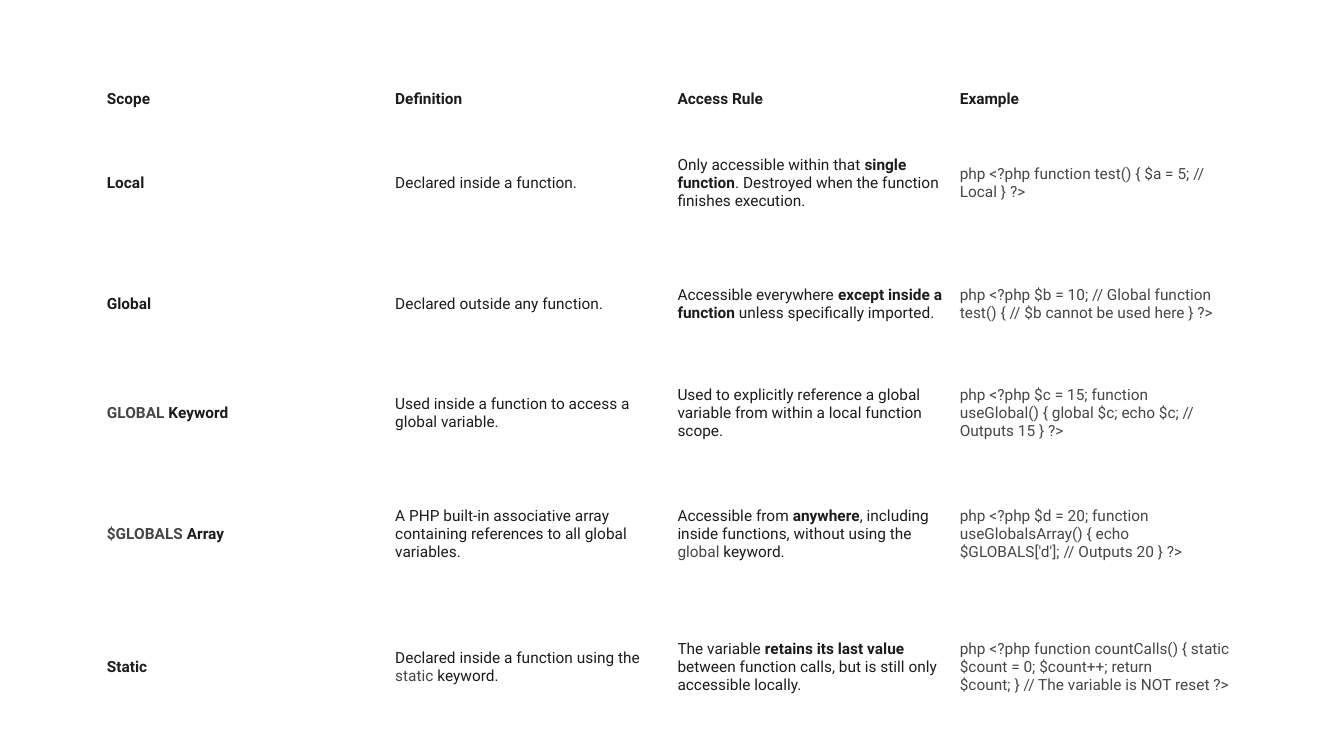
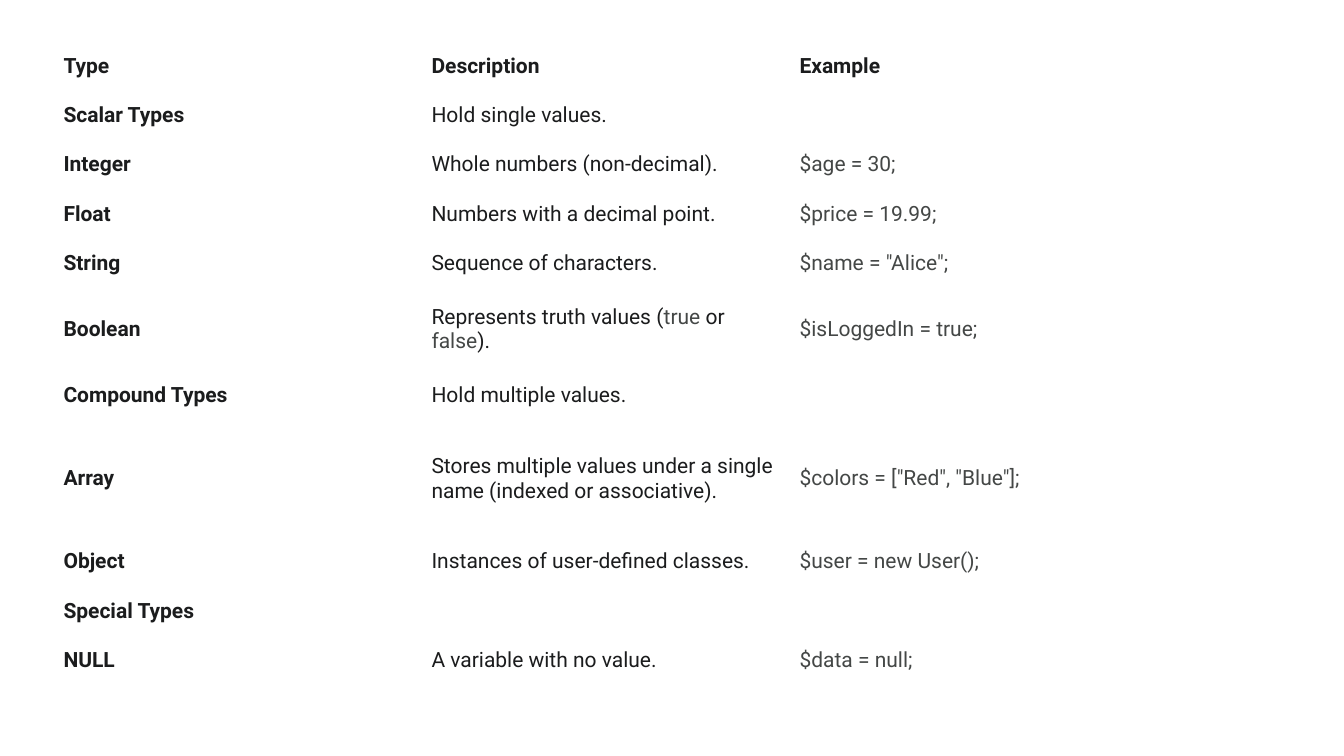
from lxml import etree
from pptx import Presentation
from pptx.dml.color import RGBColor
from pptx.enum import text
from pptx.oxml import ns
from pptx.util import Inches, Pt

INK = RGBColor(0x1B, 0x1C, 0x1D)
CODE_GREY = RGBColor(0x44, 0x47, 0x46)
WHITE = RGBColor(0xFF, 0xFF, 0xFF)
FONT = "Roboto"
BORDER_WIDTH = Pt(0.6)

SCOPE_ROWS = [
    ["Scope", "Definition", "Access Rule", "Example"],
    ["Local", "Declared inside a function.",
     ["Only accessible within that ", ("single function", "bold"),
      ". Destroyed when the function finishes execution."],
     "php <?php function test() { $a = 5; // Local } ?>"],
    ["Global", "Declared outside any function.",
     ["Accessible everywhere ", ("except inside a function", "bold"),
      " unless specifically imported."],
     "php <?php $b = 10; // Global function test() { // $b cannot be used here } ?>"],
    [[("GLOBAL", "code"), " Keyword"],
     "Used inside a function to access a global variable.",
     "Used to explicitly reference a global variable from within a local function scope.",
     "php <?php $c = 15; function useGlobal() { global $c; echo $c; // Outputs 15 } ?>"],
    [[("$GLOBALS", "code"), " Array"],
     "A PHP built-in associative array containing references to all global variables.",
     ["Accessible from ", ("anywhere", "bold"),
      ", including inside functions, without using the ", ("global", "code"), " keyword."],
     "php <?php $d = 20; function useGlobalsArray() { echo $GLOBALS['d']; // Outputs 20 } ?>"],
    ["Static",
     ["Declared inside a function using the ", ("static", "code"), " keyword."],
     ["The variable ", ("retains its last value", "bold"),
      " between function calls, but is still only accessible locally."],
     "php <?php function countCalls() { static $count = 0; $count++; return $count; }"
     " // The variable is NOT reset ?>"],
]

TYPE_ROWS = [
    ["Type", "Description", "Example"],
    ["Scalar Types", "Hold single values.", ""],
    ["Integer", "Whole numbers (non-decimal).", "$age = 30;"],
    ["Float", "Numbers with a decimal point.", "$price = 19.99;"],
    ["String", "Sequence of characters.", '$name = "Alice";'],
    ["Boolean",
     ["Represents truth values (", ("true", "code"), " or ", ("false", "code"), ")."],
     "$isLoggedIn = true;"],
    ["Compound Types", "Hold multiple values.", ""],
    ["Array", "Stores multiple values under a single name (indexed or associative).",
     '$colors = ["Red", "Blue"];'],
    ["Object", "Instances of user-defined classes.", "$user = new User();"],
    ["Special Types", "", ""],
    ["NULL", "A variable with no value.", "$data = null;"],
]


def write(paragraph, content, size, bold=False, color=INK):
    run = paragraph.add_run()
    run.text = content
    run.font.name = FONT
    run.font.size = Pt(size)
    run.font.bold = bold
    run.font.color.rgb = color


class Deck:
    def __init__(self):
        self.presentation = Presentation()
        self.presentation.slide_width = Inches(13.33)
        self.presentation.slide_height = Inches(7.5)
        self.slide = None

    def add_slide(self):
        self.slide = self.presentation.slides.add_slide(self.presentation.slide_layouts[6])
        self.slide.background.fill.solid()
        self.slide.background.fill.fore_color.rgb = WHITE

    def add_table(self, rows, left, top, widths, heights, size, insets):
        frame = self.slide.shapes.add_table(
            len(rows), len(widths), Inches(left), Inches(top),
            Inches(sum(widths)), Inches(sum(heights)))
        table = frame.table
        table.first_row = False
        table.horz_banding = False
        for column, width in zip(table.columns, widths):
            column.width = Inches(width)
        for row, height in zip(table.rows, heights):
            row.height = Inches(height)
        last_column = len(widths) - 1
        for row_index, row in enumerate(rows):
            for column_index, content in enumerate(row):
                cell = table.cell(row_index, column_index)
                self.style_cell(cell, insets)
                is_header = row_index == 0
                self.fill_cell(cell, content, size,
                               bold=is_header or column_index == 0,
                               code=column_index == last_column and not is_header)

    def style_cell(self, cell, insets):
        horizontal, vertical = map(Inches, insets)
        cell.margin_left = cell.margin_right = horizontal
        cell.margin_top = cell.margin_bottom = vertical
        cell.vertical_anchor = text.MSO_ANCHOR.MIDDLE
        properties = cell._tc.get_or_add_tcPr()
        for side in ("a:lnL", "a:lnR", "a:lnT", "a:lnB"):
            line = etree.SubElement(properties, ns.qn(side), w=str(BORDER_WIDTH))
            fill = etree.SubElement(line, ns.qn("a:solidFill"))
            etree.SubElement(fill, ns.qn("a:srgbClr"), val=str(WHITE))
        cell.fill.background()

    def fill_cell(self, cell, content, size, bold, code):
        paragraph = cell.text_frame.paragraphs[0]
        paragraph.font.size = Pt(size)
        for part in [content] if isinstance(content, str) else content:
            words, style = (part, "") if isinstance(part, str) else part
            if words:
                write(paragraph, words, size, bold=bold or style == "bold",
                      color=CODE_GREY if code or style == "code" else INK)


def main():
    deck = Deck()
    deck.add_slide()
    deck.add_table(SCOPE_ROWS, 1, 0.8, [2.86] + [2.8] * 3,
                   [0.36, 1.32, 1.08, 1.08, 1.32, 1.32], size=11, insets=(0.06, 0.04))
    deck.add_slide()
    deck.add_table(TYPE_ROWS, 0.55, 0.41, [3.65] * 3,
                   [0.49] * 5 + [0.82, 0.49, 1.16] + [0.49] * 3, size=15, insets=(0.08, 0.06))
    deck.presentation.save("out.pptx")


if __name__ == "__main__":
    main()
